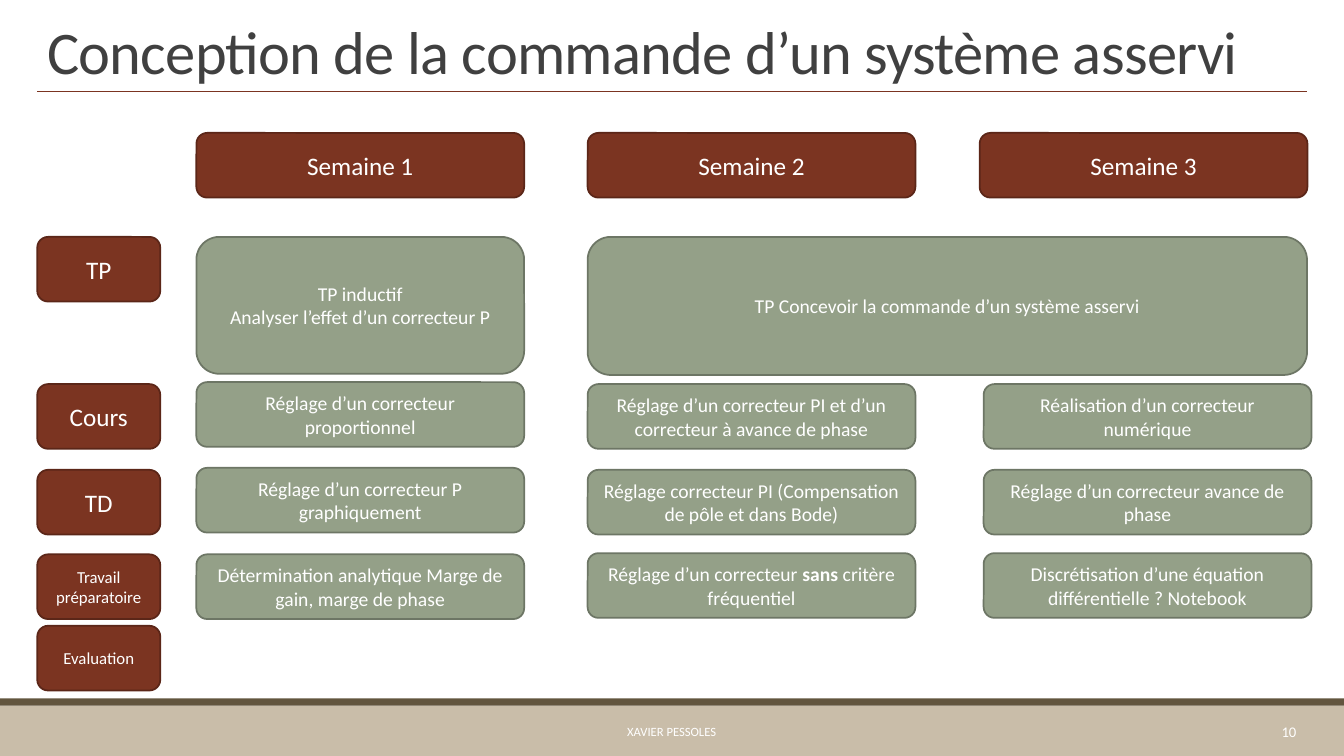
from dataclasses import dataclass

from pptx import Presentation
from pptx.dml.color import RGBColor
from pptx.enum.shapes import MSO_CONNECTOR as Connector, MSO_SHAPE as Shape
from pptx.enum.text import MSO_ANCHOR as Anchor, PP_ALIGN as Align
from pptx.oxml.ns import qn
from pptx.slide import Slide
from pptx.text.text import TextFrame
from pptx.util import Cm, Pt

FONT = "Calibri"
COLORS = {
    "brick": "7B3421", "brick_edge": "5B2618",
    "sage": "94A088", "sage_edge": "6D7665",
    "sand": "C9BDA9", "umber": "62553E",
    "title": "404040", "white": "FFFFFF",
}

# Grid, in centimetres
SLIDE_WIDTH, SLIDE_HEIGHT = 33.87, 19.05
LABEL_LEFT, LABEL_WIDTH = 0.94, 3.1
WEEK_LEFTS = (4.95, 14.81, 24.69)
WEEK_WIDTH = 8.26
THIRD_LEFT = 24.79
BOX_HEIGHT = 1.63
WEEK_TOP, TP_TOP = 3.35, 5.97
RIGHT_EDGE = 32.94


@dataclass
class Box:
    text: str  # a line break starts a paragraph, ** toggles bold
    left: float
    top: float
    width: float = WEEK_WIDTH
    height: float = BOX_HEIGHT
    color: str = "sage"
    size: float = 14


@dataclass
class Row:
    label: str
    label_top: float
    label_size: float
    tops: tuple[float, ...] = ()
    activities: tuple[str, ...] = ()


@dataclass
class Caption:
    text: str
    left: float
    top: float
    width: float
    height: float
    size: float
    color: str
    align: Align
    anchor: Anchor = Anchor.MIDDLE
    line_spacing: float = 1.0
    tracking: int = 0  # hundredths of a point


ROWS = [
    Row("TP", TP_TOP, 18),
    Row("Cours", 9.68, 18, (9.63, 9.68, 9.68), (
        "Réglage d’un correcteur proportionnel",
        "Réglage d’un correcteur PI et d’un correcteur à avance de phase",
        "Réalisation d’un correcteur numérique")),
    Row("TD", 11.84, 18, (11.79, 11.84, 11.84), (
        "Réglage d’un correcteur P graphiquement",
        "Réglage correcteur PI (Compensation de pôle et dans Bode)",
        "Réglage d’un correcteur avance de phase")),
    Row("Travail préparatoire", 13.97, 12, (13.97, 13.94, 13.94), (
        "Détermination analytique Marge de gain, marge de phase",
        "Réglage d’un correcteur **sans **critère fréquentiel",
        "Discrétisation d’une équation différentielle ? Notebook")),
    Row("Evaluation", 15.77, 12),
]

CAPTIONS = [
    Caption("Conception de la commande d’un système asservi", LABEL_LEFT, 0.1, 32, 2.21,
            43.2, "title", Align.LEFT, Anchor.BOTTOM, 0.85, -50),
    Caption("XAVIER PESSOLES", 6.93, 17.93, 19.99, 1.02, 9, "white", Align.CENTER),
    Caption("10", 28.93, 17.93, 3.99, 1.02, 10.5, "white", Align.RIGHT),
]


def rgb(name: str) -> RGBColor:
    return RGBColor.from_string(COLORS[name])


def write(frame: TextFrame, text: str, size: float, color: str, align: Align, anchor: Anchor) -> None:
    frame.word_wrap = True
    frame.vertical_anchor = anchor
    frame.text = text.replace("**", "") if "**" not in text else ""
    if "**" in text:
        for index, part in enumerate(text.split("**")):
            run = frame.paragraphs[0].add_run()
            run.text = part
            run.font.bold = index % 2 == 1
    for paragraph in frame.paragraphs:
        paragraph.alignment = align
        for run in paragraph.runs:
            run.font.name = FONT
            run.font.size = Pt(size)
            run.font.color.rgb = rgb(color)


def draw_box(slide: Slide, box: Box) -> None:
    shape = slide.shapes.add_shape(Shape.ROUNDED_RECTANGLE, Cm(box.left), Cm(box.top),
                                   Cm(box.width), Cm(box.height))
    shape.shadow.inherit = False
    shape.fill.solid()
    shape.fill.fore_color.rgb = rgb(box.color)
    shape.line.color.rgb = rgb(f"{box.color}_edge")
    shape.line.width = Pt(1.25)
    write(shape.text_frame, box.text, box.size, "white", Align.CENTER, Anchor.MIDDLE)


def draw_band(slide: Slide, top: float, height: float, color: str) -> None:
    band = slide.shapes.add_shape(Shape.RECTANGLE, 0, Cm(top), Cm(SLIDE_WIDTH), Cm(height))
    band.shadow.inherit = False
    band.fill.solid()
    band.fill.fore_color.rgb = rgb(color)
    band.line.fill.background()


def draw_title_rule(slide: Slide) -> None:
    rule = slide.shapes.add_connector(Connector.STRAIGHT, Cm(LABEL_LEFT), Cm(2.31),
                                      Cm(RIGHT_EDGE), Cm(2.31))
    rule.line.color.rgb = rgb("brick")
    rule.line.width = Pt(0.5)
    properties = rule._element.spPr
    properties.append(properties.makeelement(qn("a:effectLst"), {}))


def draw_caption(slide: Slide, caption: Caption) -> None:
    shape = slide.shapes.add_textbox(Cm(caption.left), Cm(caption.top),
                                     Cm(caption.width), Cm(caption.height))
    write(shape.text_frame, caption.text, caption.size, caption.color, caption.align, caption.anchor)
    paragraph = shape.text_frame.paragraphs[0]
    paragraph.line_spacing = caption.line_spacing
    if caption.tracking:
        paragraph.runs[0]._r.get_or_add_rPr().set("spc", str(caption.tracking))


def plan_boxes() -> list[Box]:
    # Week headings and the practical work below them
    boxes = [Box(f"Semaine {number}", left, WEEK_TOP, color="brick", size=18)
             for number, left in enumerate(WEEK_LEFTS, start=1)]
    boxes += [
        Box("TP inductif\nAnalyser l’effet d’un correcteur P", WEEK_LEFTS[0], TP_TOP, height=3.45),
        Box("TP Concevoir la commande d’un système asservi", WEEK_LEFTS[1], TP_TOP,
            RIGHT_EDGE - WEEK_LEFTS[1], 3.48),
    ]
    # Row labels with one activity per week
    activity_lefts = (*WEEK_LEFTS[:2], THIRD_LEFT)
    for row in ROWS:
        boxes.append(Box(row.label, LABEL_LEFT, row.label_top, LABEL_WIDTH,
                         color="brick", size=row.label_size))
        boxes += [Box(text, left, top)
                  for text, left, top in zip(row.activities, activity_lefts, row.tops)]
    return boxes


def main() -> None:
    presentation = Presentation()
    presentation.slide_width, presentation.slide_height = Cm(SLIDE_WIDTH), Cm(SLIDE_HEIGHT)
    slide = presentation.slides.add_slide(presentation.slide_layouts[6])

    # Footer bands and title rule
    draw_band(slide, 17.78, 1.27, "sand")
    draw_band(slide, 17.6, 0.18, "umber")
    draw_title_rule(slide)

    # Title, footer text and planning grid
    for caption in CAPTIONS:
        draw_caption(slide, caption)
    for box in plan_boxes():
        draw_box(slide, box)
    presentation.save("out.pptx")


if __name__ == "__main__":
    main()
